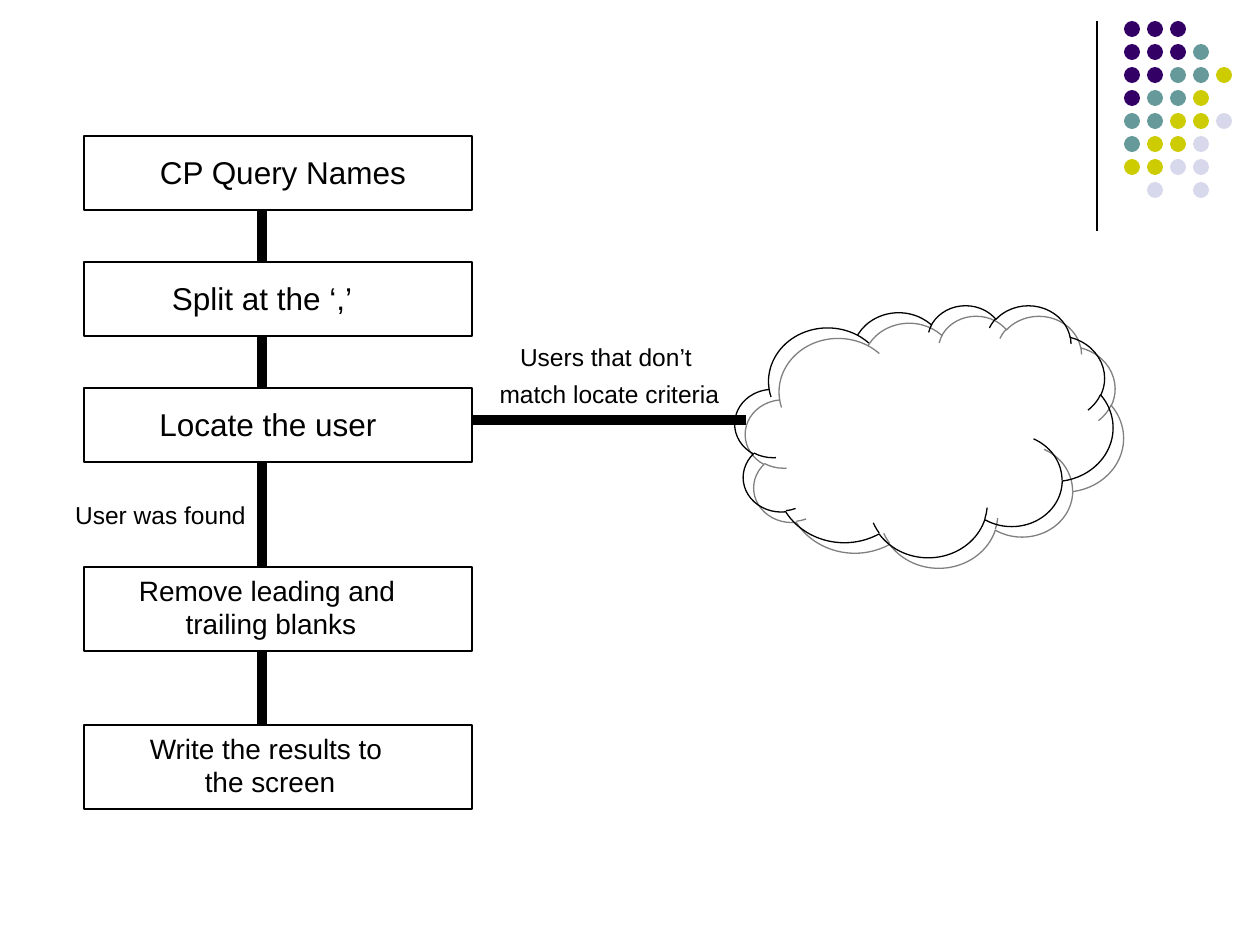
from dataclasses import dataclass
from itertools import pairwise

from lxml.etree import SubElement
from pptx import Presentation
from pptx.dml.color import RGBColor
from pptx.enum.shapes import MSO_CONNECTOR, MSO_SHAPE
from pptx.enum.text import MSO_AUTO_SIZE, PP_ALIGN
from pptx.oxml.ns import qn
from pptx.util import Emu, Pt


@dataclass(frozen=True)
class Theme:
    font: str = "Arial"
    ink: str = "000000"
    shadow: str = "808080"
    purple: str = "330066"
    teal: str = "669999"
    lime: str = "CCCC00"
    lavender: str = "D8D8EC"
    large: int = 18
    medium: int = 16
    small: int = 14
    hairline: float = 0.75
    outline: float = 1
    flow: float = 6


THEME = Theme()
PX_PER_INCH = 126

DOT_COLORS = {"P": THEME.purple, "T": THEME.teal, "L": THEME.lime, "V": THEME.lavender}
DOT_ROWS = ["PPP", "PPPT", "PPTTL", "PTTL", "TTLLV", "TLLV", "LLVV", " V V"]

# Top and height of each step, then its lines, type size and caption box.
# The caption box is left, top, width, height inside the step.
STEPS = [
    (0, 74, ["CP Query Names"], THEME.large, (63, 11, 272, 50)),
    (126, 74, ["Split at the ‘,’"], THEME.large, (68, 11, 220, 50)),
    (252, 74, ["Locate the user"], THEME.large, (63, 11, 242, 50)),
    (431, 84, ["Remove leading and ", "trailing blanks"], THEME.medium, (42, 0, 290, 79)),
    (589, 84, ["Write the results to ", "the screen"], THEME.medium, (53, 0, 266, 79)),
]


def px(length):
    return Emu(round(length * 914400 / PX_PER_INCH))


def rgb(color):
    return RGBColor.from_string(color)


def add_line(slide, start, end, weight):
    line = slide.shapes.add_connector(
        MSO_CONNECTOR.STRAIGHT, *(px(value) for value in (*start, *end)))
    line.line.color.rgb = rgb(THEME.ink)
    line.line.width = Pt(weight)
    SubElement(line._element.spPr, qn("a:effectLst"))


def add_outline(slide, preset, box, weight):
    outline = slide.shapes.add_shape(preset, *map(px, box))
    outline.shadow.inherit = False
    outline.fill.background()
    outline.line.color.rgb = rgb(THEME.ink)
    outline.line.width = Pt(weight)
    return outline


def add_caption(slide, box, lines):
    """Add centred lines, each a list of (text, size) runs."""
    frame = slide.shapes.add_textbox(*map(px, box)).text_frame
    frame.word_wrap = False
    frame.auto_size = MSO_AUTO_SIZE.SHAPE_TO_FIT_TEXT
    for index, runs in enumerate(lines):
        paragraph = frame.add_paragraph() if index else frame.paragraphs[0]
        paragraph.alignment = PP_ALIGN.CENTER
        for text, size in runs:
            run = paragraph.add_run()
            run.text = text
            run.font.name = THEME.font
            run.font.size = Pt(size)
            run.font.color.rgb = rgb(THEME.ink)


def add_corner_ornament(slide, left, top):
    pitch, diameter, dots_offset, rule_height = 23, 16, 27, 210
    add_line(slide, (left, top), (left, top + rule_height), THEME.hairline)
    dots = slide.shapes.add_group_shape()
    for row, pattern in enumerate(DOT_ROWS):
        for column, key in enumerate(pattern):
            if key not in DOT_COLORS:
                continue
            dot = dots.shapes.add_shape(
                MSO_SHAPE.OVAL, px(left + dots_offset + column * pitch),
                px(top + row * pitch), px(diameter), px(diameter))
            dot.shadow.inherit = False
            dot.fill.solid()
            dot.fill.fore_color.rgb = rgb(DOT_COLORS[key])
            dot.line.fill.background()


def add_pipeline(slide, left, top, width):
    flow_x = left + 178
    for offset, height, lines, size, (x, y, w, h) in STEPS:
        step_top = top + offset
        add_outline(slide, MSO_SHAPE.RECTANGLE, (left, step_top, width, height), THEME.outline)
        add_caption(slide, (left + x, step_top + y, w, h), [[(line, size)] for line in lines])
    for (offset, height, *_), (next_offset, *_) in pairwise(STEPS):
        add_line(slide, (flow_x, top + offset + height), (flow_x, top + next_offset), THEME.flow)
    add_caption(slide, (left - 22, top + 358, 197, 42), [[("User was found", THEME.small)]])


def add_unmatched_branch(slide, left, top):
    """Lead from the locate step to the cloud of users that do not match."""
    add_line(slide, (left, top), (left + 274, top), THEME.flow)
    cloud = add_outline(slide, MSO_SHAPE.CLOUD, (left + 263, top - 115, 378, 252), THEME.hairline)
    effects = cloud._element.spPr.find(qn("a:effectLst"))
    shadow = SubElement(effects, qn("a:outerShdw"), dist=str(Pt(8.5)),
                        dir=str(45 * 60000), algn="ctr", rotWithShape="0")
    SubElement(shadow, qn("a:srgbClr"), val=THEME.shadow)
    add_caption(slide, (left + 11, top - 84, 253, 79), [
        [("Users that don’t ", THEME.small)],
        [("match locate criteria", THEME.small), (" ", THEME.large)],
    ])


def main():
    deck = Presentation()
    deck.slide_width, deck.slide_height = px(1260), px(945)
    slide = deck.slides.add_slide(deck.slide_layouts[6])
    add_corner_ornament(slide, left=1097, top=21)
    add_pipeline(slide, left=84, top=136, width=388)
    add_unmatched_branch(slide, left=472, top=420)
    deck.save("out.pptx")


if __name__ == "__main__":
    main()
